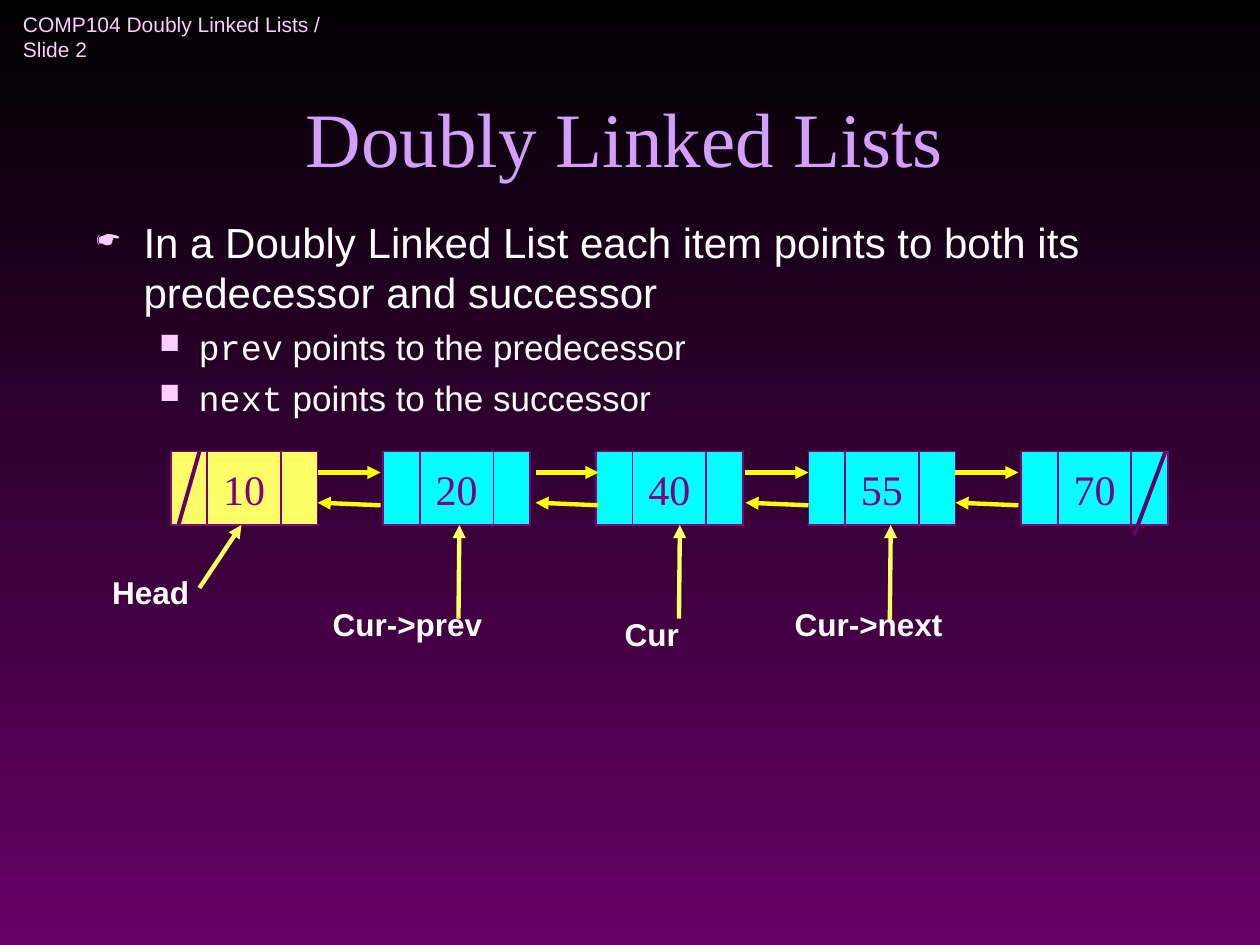
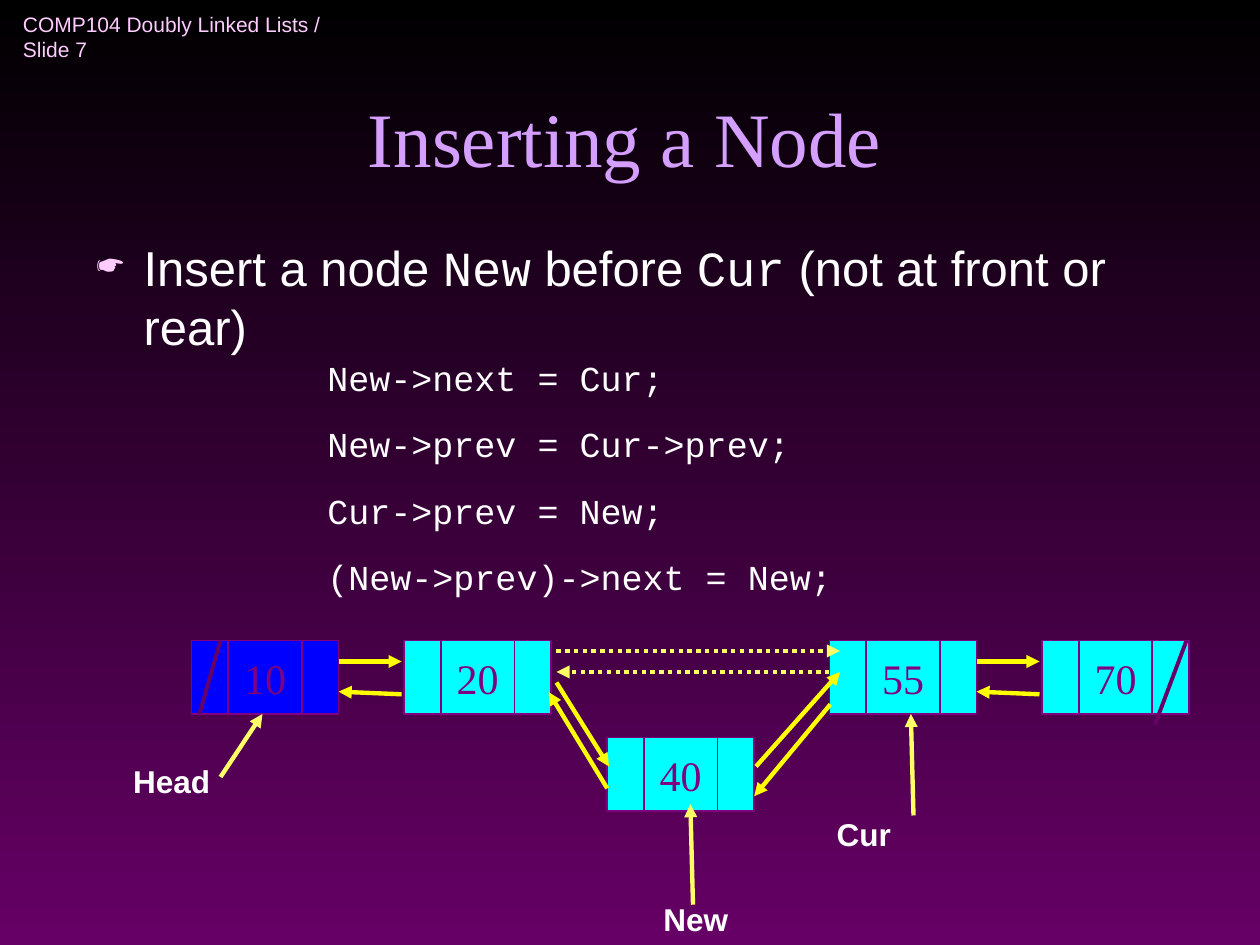
from lxml import etree
from pptx import Presentation
from pptx.dml.color import RGBColor
from pptx.enum.dml import MSO_LINE
from pptx.enum.shapes import MSO_CONNECTOR, MSO_SHAPE
from pptx.enum.text import MSO_ANCHOR, PP_ALIGN
from pptx.oxml.ns import qn
from pptx.util import Pt

SANS, SERIF, MONO = "Arial", "Times New Roman", "Courier New"
BLACK, WHITE, PLUM, PURPLE = "000000", "FFFFFF", "660066", "800080"
PINK, LILAC = "FFCCFF", "D49FFF"
CYAN, BLUE, YELLOW, PALE_YELLOW = "00FFFF", "0000FF", "FFFF00", "FFFF66"

CELL_HEIGHT = 42
POINTER_WIDTH, VALUE_WIDTH = 21, 42
NODE_PITCH = 121.5
LINK_LENGTH = 36
# Bullet levels: character, size in percent, left margin, hanging indent
BULLETS = [("☛", 75000, 27, 27), ("■", 80000, 58.5, 22.5)]

# Backticks in the body mark code words.
# row: left and top of the first node; nodes: value, slot, fill
# links: left ends of the two-way links; labels: text, left, top, width, alignment
# arrows: start x, start y, end x, end y
SLIDES = [
    {
        "number": 2,
        "title": "Doubly Linked Lists",
        "body_top": 120,
        "body": [
            (0, 24, 0, "In a Doubly Linked List each item points to both its predecessor and successor"),
            (1, 20, 5, "`prev` points to the predecessor"),
            (1, 20, 5, "`next` points to the successor"),
        ],
        "code": [],
        "row": (97.5, 258),
        "nodes": [("10", 0, PALE_YELLOW), ("20", 1, CYAN), ("40", 2, CYAN),
                  ("55", 3, CYAN), ("70", 4, CYAN)],
        "lowered_node": None,
        "links": [181.5, 306, 426, 546],
        "inserted_links": [],
        "replaced_links": [],
        "labels": [("Head", 57, 324, 112, PP_ALIGN.LEFT),
                   ("Cur->prev", 183, 342, 154, PP_ALIGN.LEFT),
                   ("Cur ", 282, 348, 186, PP_ALIGN.CENTER),
                   ("Cur->next", 447, 342, 153, PP_ALIGN.LEFT)],
        "label_arrows": [(114, 336, 138, 300), (262, 353.5, 262.5, 300),
                         (388, 353.5, 388.5, 300), (508.5, 354, 509, 300)],
    },
    {
        "number": 7,
        "title": "Inserting a Node",
        "body_top": 132,
        "body": [(0, 28, 0, "Insert a node `New` before `Cur` (not at front or rear)")],
        "code": ["New->next = Cur;", "New->prev = Cur->prev;",
                 "Cur->prev = New;", "(New->prev)->next = New;"],
        "row": (109.5, 366),
        "nodes": [("10", 0, BLUE), ("20", 1, CYAN), ("55", 3, CYAN), ("70", 4, CYAN)],
        "lowered_node": ("40", 347, 421.5, CYAN),
        "links": [193.5, 558],
        "inserted_links": [(318, 390, 348, 438), (347, 450.5, 313.5, 395.5),
                           (432, 438, 480, 384), (474.5, 402.5, 431, 455)],
        "replaced_links": [(318, 372, 480, 372), (474, 384, 318, 384)],
        "labels": [("Head", 69, 432, 112, PP_ALIGN.LEFT),
                   ("New", 372, 511, 72, PP_ALIGN.LEFT),
                   ("Cur", 471, 462, 99, PP_ALIGN.LEFT)],
        "label_arrows": [(126, 444, 150, 408), (396, 517, 394.5, 459.5),
                         (522, 466, 520.5, 408)],
    },
]


def color(value):
    return RGBColor.from_string(value)


def style_font(font, size, name, value, bold=False):
    font.size, font.name, font.bold = Pt(size), name, bold
    font.color.rgb = color(value)


def add_text(slide, lines, box, size, name, value, bold=False,
             align=PP_ALIGN.LEFT, anchor=MSO_ANCHOR.TOP, wrap=True, gap=0):
    """Add a text box with one paragraph a line, in a single style."""
    text_frame = slide.shapes.add_textbox(*map(Pt, box)).text_frame
    text_frame.text = "\n".join(lines)
    text_frame.word_wrap, text_frame.vertical_anchor = wrap, anchor
    for index, paragraph in enumerate(text_frame.paragraphs):
        paragraph.alignment = align
        paragraph.space_before = Pt(gap if index else 0)
        style_font(paragraph.runs[0].font, size, name, value, bold)


def add_bullet(paragraph, level):
    character, percent, margin, hanging = BULLETS[level]
    paragraph.level = level
    properties = paragraph._p.get_or_add_pPr()
    properties.set("marL", str(Pt(margin)))
    properties.set("indent", str(-Pt(hanging)))
    bullet_color = etree.SubElement(properties, qn("a:buClr"))
    etree.SubElement(bullet_color, qn("a:srgbClr"), val=PINK)
    etree.SubElement(properties, qn("a:buSzPct"), val=str(percent))
    etree.SubElement(properties, qn("a:buChar"), char=character)


def add_body(slide, items, top):
    text_frame = slide.shapes.add_textbox(Pt(48), Pt(top), Pt(618), Pt(324)).text_frame
    text_frame.word_wrap = True
    for index, (level, size, gap, text) in enumerate(items):
        paragraph = text_frame.add_paragraph() if index else text_frame.paragraphs[0]
        paragraph.space_before = Pt(gap)
        add_bullet(paragraph, level)
        for part_index, part in enumerate(text.split("`")):
            if part:
                run = paragraph.add_run()
                run.text = part
                style_font(run.font, size, MONO if part_index % 2 else SANS, WHITE)


def add_line(slide, ends, value, width=2.5, arrow=True, dash=None):
    line = slide.shapes.add_connector(MSO_CONNECTOR.STRAIGHT, *map(Pt, ends))
    line.line.color.rgb, line.line.width = color(value), Pt(width)
    if dash:
        line.line.dash_style = dash
    if arrow:
        etree.SubElement(line.line._get_or_add_ln(), qn("a:tailEnd"), type="triangle")
    etree.SubElement(line._element.spPr, qn("a:effectLst"))


def add_node(slide, value, left, top, fill):
    """Draw the prev, value and next cells side by side."""
    for text, width in (("", POINTER_WIDTH), (value, VALUE_WIDTH), ("", POINTER_WIDTH)):
        cell = slide.shapes.add_shape(
            MSO_SHAPE.RECTANGLE, Pt(left), Pt(top), Pt(width), Pt(CELL_HEIGHT))
        cell.shadow.inherit = False
        cell.fill.solid()
        cell.fill.fore_color.rgb = color(fill)
        cell.line.color.rgb, cell.line.width = color(PURPLE), Pt(1)
        if text:
            text_frame = cell.text_frame
            text_frame.text, text_frame.word_wrap = text, False
            text_frame.vertical_anchor = MSO_ANCHOR.MIDDLE
            text_frame.paragraphs[0].alignment = PP_ALIGN.CENTER
            style_font(text_frame.paragraphs[0].runs[0].font, 24, SERIF, PURPLE)
        left += width


def add_list(slide, content):
    """Draw the nodes, their links and the slashes for the two null pointers."""
    left, top = content["row"]
    for value, slot, fill in content["nodes"]:
        add_node(slide, value, left + slot * NODE_PITCH, top, fill)
    if content["lowered_node"]:
        add_node(slide, *content["lowered_node"])
    for start in content["links"]:
        end = start + LINK_LENGTH
        add_line(slide, (start, top + 12, end, top + 12), YELLOW)
        add_line(slide, (end, top + 30.75, start, top + 29.25), YELLOW)
    for ends in content["inserted_links"]:
        add_line(slide, ends, YELLOW)
    for ends in content["replaced_links"]:
        add_line(slide, ends, PALE_YELLOW, dash=MSO_LINE.ROUND_DOT)
    last = left + 4 * NODE_PITCH
    for ends in ((left + 16.5, top, left + 4.5, top + 42),
                 (last + 82.5, top, last + 64.5, top + 48)):
        add_line(slide, ends, PLUM, 2.25, arrow=False)


def add_base(presentation, content):
    """Add a slide with the shared background, header and title."""
    slide = presentation.slides.add_slide(presentation.slide_layouts[6])
    fill = slide.background.fill
    fill.gradient()
    fill.gradient_angle = 270
    for stop, position, value in zip(fill.gradient_stops, (0, 1), (BLACK, PLUM)):
        stop.position, stop.color.rgb = position, color(value)
    add_text(slide, [f"COMP104 Doubly Linked Lists / Slide {content['number']}"],
             (6, 6, 198, 30), 12, SANS, PINK, anchor=MSO_ANCHOR.MIDDLE, wrap=False)
    add_text(slide, [content["title"]], (48, 18, 618, 90), 44, SERIF, LILAC,
             align=PP_ALIGN.CENTER, anchor=MSO_ANCHOR.BOTTOM)
    return slide


def main():
    presentation = Presentation()
    presentation.slide_width, presentation.slide_height = Pt(720), Pt(540)
    for content in SLIDES:
        slide = add_base(presentation, content)
        add_body(slide, content["body"], content["body_top"])
        add_list(slide, content)
        for text, left, top, width, align in content["labels"]:
            add_text(slide, [text], (left, top, width, 29), 18, SANS, WHITE,
                     bold=True, align=align)
        for ends in content["label_arrows"]:
            add_line(slide, ends, PALE_YELLOW)
        if content["code"]:
            add_text(slide, content["code"], (180, 200, 360, 141), 20, MONO, WHITE, gap=14)
    presentation.save("out.pptx")


if __name__ == "__main__":
    main()
